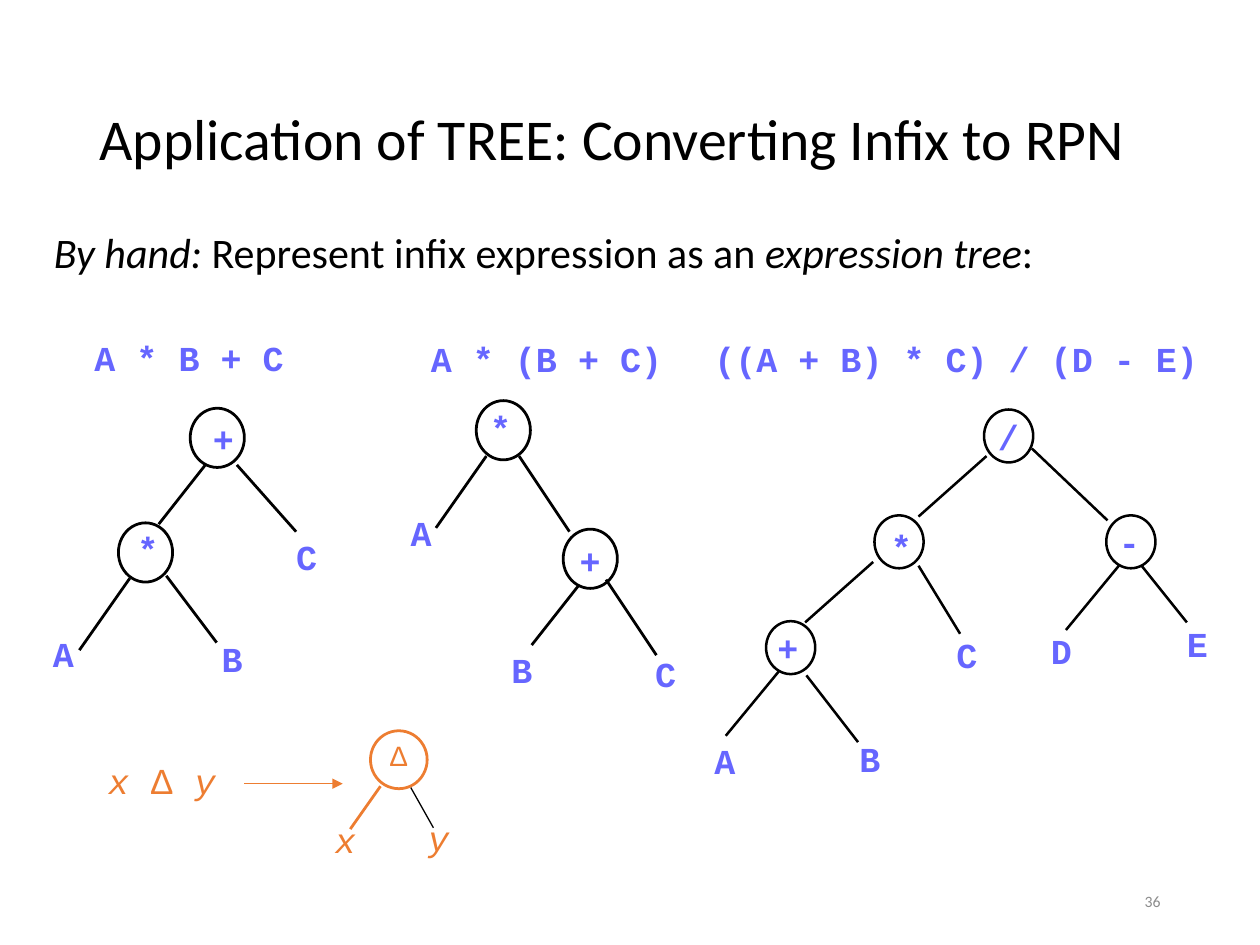
from pptx import Presentation
from pptx.dml.color import RGBColor
from pptx.enum.shapes import MSO_CONNECTOR as CONN, MSO_SHAPE as SHAPE
from pptx.enum.text import MSO_ANCHOR as ANCHOR, PP_ALIGN as ALIGN
from pptx.oxml.ns import qn
from pptx.util import Inches, Pt
from lxml.etree import SubElement

COLORS = {"ink": "000000", "code": "6666FF", "accent": "ED7D31", "muted": "8C8C8C"}
BODY, MONO, SYMBOL = "Calibri", "Courier New", "Arial"

EXPRESSIONS = [
    ("A * B + C", 0.75, 2.67, 1.67),
    ("A * (B + C)", 3.42, 2.68, 2),
    ("((A + B) * C) / (D - E)", 5.67, 2.68, 4.33),
]

TREES = [
    {"weight": 1.6, "size": (0.43, 0.47),
     "nodes": [(1.51, 3.24), (0.94, 4.15)],
     "edges": [(1.63, 3.69, 1.26, 4.16), (1.88, 3.69, 2.35, 4.22),
               (1.03, 4.59, 0.63, 5.16), (1.32, 4.57, 1.72, 5.1)],
     "labels": [("+", 1.69, 3.31), ("*", 1.09, 4.19), ("C", 2.35, 4.25),
                ("A", 0.42, 5.02), ("B", 1.76, 5.06)]},
    {"weight": 1.6, "size": (0.43, 0.47),
     "nodes": [(3.78, 3.18), (4.47, 4.2)],
     "edges": [(3.86, 3.62, 3.46, 4.19), (4.12, 3.62, 4.52, 4.22),
               (4.59, 4.65, 4.22, 5.12), (4.81, 4.6, 5.21, 5.2)],
     "labels": [("*", 3.89, 3.23), ("+", 4.6, 4.28), ("A", 3.26, 4.06),
                ("B", 4.06, 5.15), ("C", 5.2, 5.18)]},
    {"weight": 1.45, "size": (0.39, 0.42),
     "nodes": [(7.81, 3.25), (6.94, 4.09), (8.78, 4.09), (6.08, 4.93)],
     "edges": [(7.83, 3.62, 7.29, 4.1), (8.19, 3.56, 8.79, 4.13),
               (6.93, 4.46, 6.39, 4.94), (7.29, 4.49, 7.62, 5.03),
               (8.88, 4.49, 8.46, 5), (9.06, 4.49, 9.42, 4.94),
               (6.18, 5.33, 5.76, 5.84), (6.4, 5.36, 6.81, 5.89)],
     "labels": [("/", 7.92, 3.3), ("*", 7.07, 4.17), ("-", 8.88, 4.13),
                ("+", 6.17, 4.97), ("C", 7.59, 5.03), ("D", 8.34, 5),
                ("E", 9.42, 4.94), ("A", 5.67, 5.87), ("B", 6.82, 5.85)]},
]


class SlideBuilder:
    """Draws styled text, nodes, edges and trees on one slide."""

    def __init__(self, slide):
        self.s = slide

    def text(self, runs, x, y, w, h, size, color="ink", font=BODY, bold=False,
             wrap=True, inset=True, anchor=ANCHOR.TOP, align=ALIGN.LEFT):
        sp = self.s.shapes.add_textbox(Inches(x), Inches(y), Inches(w), Inches(h))
        tf = sp.text_frame
        tf.word_wrap = wrap
        tf.vertical_anchor = anchor
        if not inset:
            tf.margin_left = tf.margin_right = tf.margin_top = tf.margin_bottom = 0
        p = tf.paragraphs[0]
        p.alignment = align
        for words, italic, *face in runs:
            r = p.add_run()
            r.text = words
            r.font.name = face[0] if face else font
            r.font.size = Pt(size)
            r.font.bold = bold
            r.font.italic = italic
            r.font.color.rgb = RGBColor.from_string(COLORS[color])
        return p

    def code(self, words, x, y, w=0.17):
        self.text([(words, False)], x, y, w, 0.33, 20, "code", MONO,
                  bold=True, wrap=False, inset=False)

    def variable(self, runs, x, y, w):
        self.text(runs, x, y, w, 0.43, 20, "accent", MONO)

    def stroke(self, sp, color, weight):
        sp.line.color.rgb = RGBColor.from_string(COLORS[color])
        sp.line.width = Pt(weight)

    def node(self, x, y, w, h, weight, color="ink"):
        sp = self.s.shapes.add_shape(SHAPE.OVAL, Inches(x), Inches(y), Inches(w), Inches(h))
        sp.shadow.inherit = False
        sp.fill.background()
        self.stroke(sp, color, weight)

    def edge(self, x1, y1, x2, y2, weight, color="ink", arrow=False):
        sp = self.s.shapes.add_connector(CONN.STRAIGHT, Inches(x1), Inches(y1),
                                         Inches(x2), Inches(y2))
        self.stroke(sp, color, weight)
        if arrow:
            SubElement(sp.line._get_or_add_ln(), qn("a:tailEnd"), type="triangle")
        SubElement(sp._element.spPr, qn("a:effectLst"))

    def tree(self, nodes, edges, labels, size, weight):
        for ends in edges:
            self.edge(*ends, weight)
        for corner in nodes:
            self.node(*corner, *size, weight)
        for label in labels:
            self.code(*label)


def main():
    prs = Presentation()
    prs.slide_width, prs.slide_height = Inches(10), Inches(7.5)
    b = SlideBuilder(prs.slides.add_slide(prs.slide_layouts[6]))

    title = b.text([("Application of TREE: Converting Infix to RPN", False)],
                   0.69, 0.4, 8.62, 1.45, 33, anchor=ANCHOR.MIDDLE)
    title.line_spacing = 0.9
    b.text([("36", False)], 7.06, 6.95, 2.25, 0.4, 9, "muted",
           anchor=ANCHOR.MIDDLE, align=ALIGN.RIGHT)
    b.text([("By hand:", True), (" Represent infix expression as an ", False),
            ("expression tree", True), (":", False)], 0.33, 1.75, 9.42, 0.5, 24)

    for expression in EXPRESSIONS:
        b.code(*expression)
    for tree in TREES:
        b.tree(**tree)

    b.variable([("x ", True), ("Δ", False, SYMBOL), (" y", True)], 0.76, 5.98, 1.24)
    b.edge(1.94, 6.22, 2.72, 6.22, 0.75, "accent", arrow=True)
    b.edge(3.02, 6.24, 2.78, 6.58, 1.6, "accent")
    b.edge(3.26, 6.25, 3.44, 6.57, 0.75)
    b.node(2.94, 5.8, 0.45, 0.46, 1.6, "accent")
    b.text([("Δ", False)], 3.09, 5.86, 0.14, 0.27, 16, "accent", SYMBOL,
           wrap=False, inset=False)
    b.variable([("x", True)], 2.56, 6.45, 0.38)
    b.variable([("y", True)], 3.3, 6.43, 0.38)

    prs.save("out.pptx")


if __name__ == "__main__":
    main()
